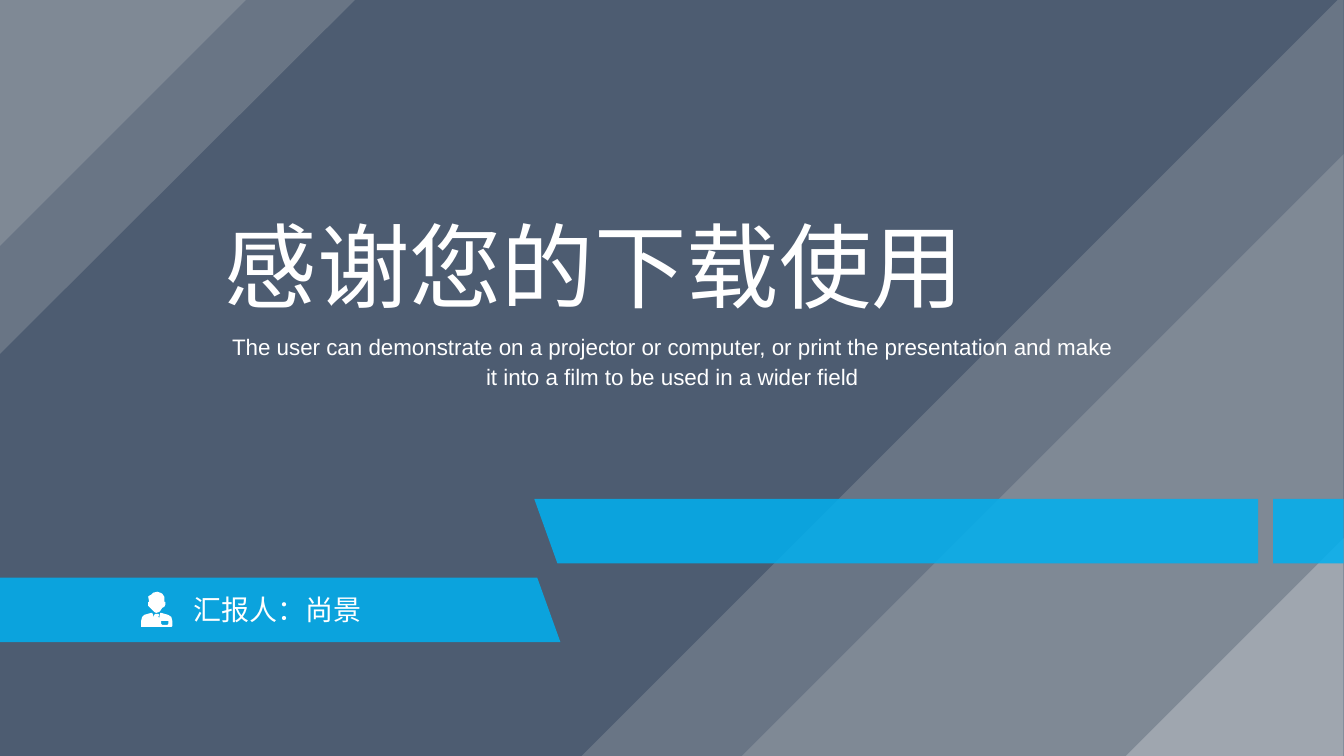
from pptx import Presentation
from pptx.dml.color import RGBColor
from pptx.enum.shapes import MSO_SHAPE
from pptx.enum.text import MSO_ANCHOR, PP_ALIGN
from pptx.oxml.ns import qn
from pptx.util import Inches, Pt
from lxml import etree

SLATE = RGBColor(0x44, 0x54, 0x6A)
GREY = RGBColor(0xD9, 0xD9, 0xD9)
WHITE = RGBColor(0xFF, 0xFF, 0xFF)
BLUE = RGBColor(0x00, 0xB0, 0xF0)
CJK = "Noto Sans CJK SC"


def paint(shape, color, opacity):
    shape.shadow.inherit = False
    shape.line.fill.background()
    shape.fill.solid()
    shape.fill.fore_color.rgb = color
    if opacity < 100:
        swatch = shape.fill._xPr.find(qn("a:solidFill"))[0]
        etree.SubElement(swatch, qn("a:alpha")).set("val", str(opacity * 1000))


def write(box, bounds, text, size, font, align):
    box.left, box.top, box.width, box.height = [Inches(n) for n in bounds]
    frame = box.text_frame
    frame.word_wrap = True
    frame.vertical_anchor = MSO_ANCHOR.MIDDLE
    frame.text = text
    para = frame.paragraphs[0]
    para.alignment = align
    span = para.runs[0]
    span.font.size = Pt(size)
    span.font.name = font
    span.font.color.rgb = WHITE
    etree.SubElement(span.font._element, qn("a:ea")).set("typeface", font)
    return para


deck = Presentation()
deck.slide_width, deck.slide_height = Inches(13.333), Inches(7.5)
page = deck.slides.add_slide(deck.slide_layouts[5])

backdrop = page.shapes.add_shape(MSO_SHAPE.RECTANGLE, 0, 0, deck.slide_width, deck.slide_height)
paint(backdrop, SLATE, 95)

right, bottom = 13.33, 7.5
bar_top, bar_bottom = 4.95, 5.59
name_top, name_bottom = 5.73, 6.37
panels = [
    ([[(-0.07, 0), (3.52, 0), (-0.07, 3.58)]], GREY, 20),
    ([[(-0.07, 0), (2.44, 0), (-0.07, 2.51)]], GREY, 20),
]
for reach, color, opacity in [(7.56, GREY, 20), (5.97, GREY, 20), (2.16, WHITE, 25)]:
    corner = [(right, bottom - reach), (right, bottom), (right - reach, bottom)]
    panels.append(([corner], color, opacity))
panels += [
    ([[(0, name_top), (5.33, name_top), (5.56, name_bottom), (0, name_bottom)]], BLUE, 85),
    ([[(5.3, bar_top), (12.48, bar_top), (12.48, bar_bottom), (5.53, bar_bottom)]], BLUE, 85),
    ([[(12.63, bar_top), (right, bar_top), (right, bar_bottom), (12.63, bar_bottom)]], BLUE, 85),
]

badge = [(1.6, 6.16), (1.6, 6.19), (1.61, 6.2), (1.66, 6.2), (1.67, 6.19), (1.67, 6.16)]
body = [(1.5, 6.08), (1.51, 6.08), (1.53, 6.13), (1.53, 6.1), (1.54, 6.09), (1.57, 6.09),
        (1.58, 6.1), (1.57, 6.12), (1.58, 6.13), (1.59, 6.08), (1.6, 6.08), (1.67, 6.1),
        (1.7, 6.12), (1.71, 6.16), (1.71, 6.21), (1.7, 6.22), (1.4, 6.22), (1.4, 6.16),
        (1.41, 6.12), (1.43, 6.1)]
head = [(1.56, 5.87), (1.59, 5.88), (1.61, 5.89), (1.63, 5.92), (1.63, 5.97), (1.64, 5.97),
        (1.64, 6), (1.63, 6.02), (1.61, 6.03), (1.59, 6.06), (1.58, 6.07), (1.55, 6.08),
        (1.53, 6.07), (1.52, 6.06), (1.49, 6.03), (1.47, 6.01), (1.47, 5.97), (1.48, 5.97),
        (1.47, 5.92), (1.48, 5.91), (1.5, 5.9), (1.52, 5.88)]
panels.append(([badge, body, head], WHITE, 100))

for outlines, color, opacity in panels:
    paths = [[(Inches(x), Inches(y)) for x, y in outline] for outline in outlines]
    builder = page.shapes.build_freeform(*paths[0][0])
    builder.add_line_segments(paths[0][1:])
    for points in paths[1:]:
        builder.move_to(*points[0])
        builder.add_line_segments(points[1:])
    paint(builder.convert_to_shape(), color, opacity)

title = page.shapes.title
page.shapes._spTree.append(title._element)
write(title, (2.13, 2.02, 9.08, 1.21), "感谢您的下载使用", 66, CJK, PP_ALIGN.JUSTIFY)

subtitle = write(
    page.shapes.add_textbox(0, 0, 0, 0), (2.13, 3.22, 9.08, 0.71),
    "The user can demonstrate on a projector or computer, or print the presentation "
    "and make it into a film to be used in a wider field",
    16, "Arial", PP_ALIGN.CENTER)
subtitle.line_spacing = 1.12

write(page.shapes.add_textbox(0, 0, 0, 0), (1.82, 5.82, 3.46, 0.44),
      "汇报人：尚景", 20, CJK, PP_ALIGN.LEFT)

deck.save("out.pptx")
